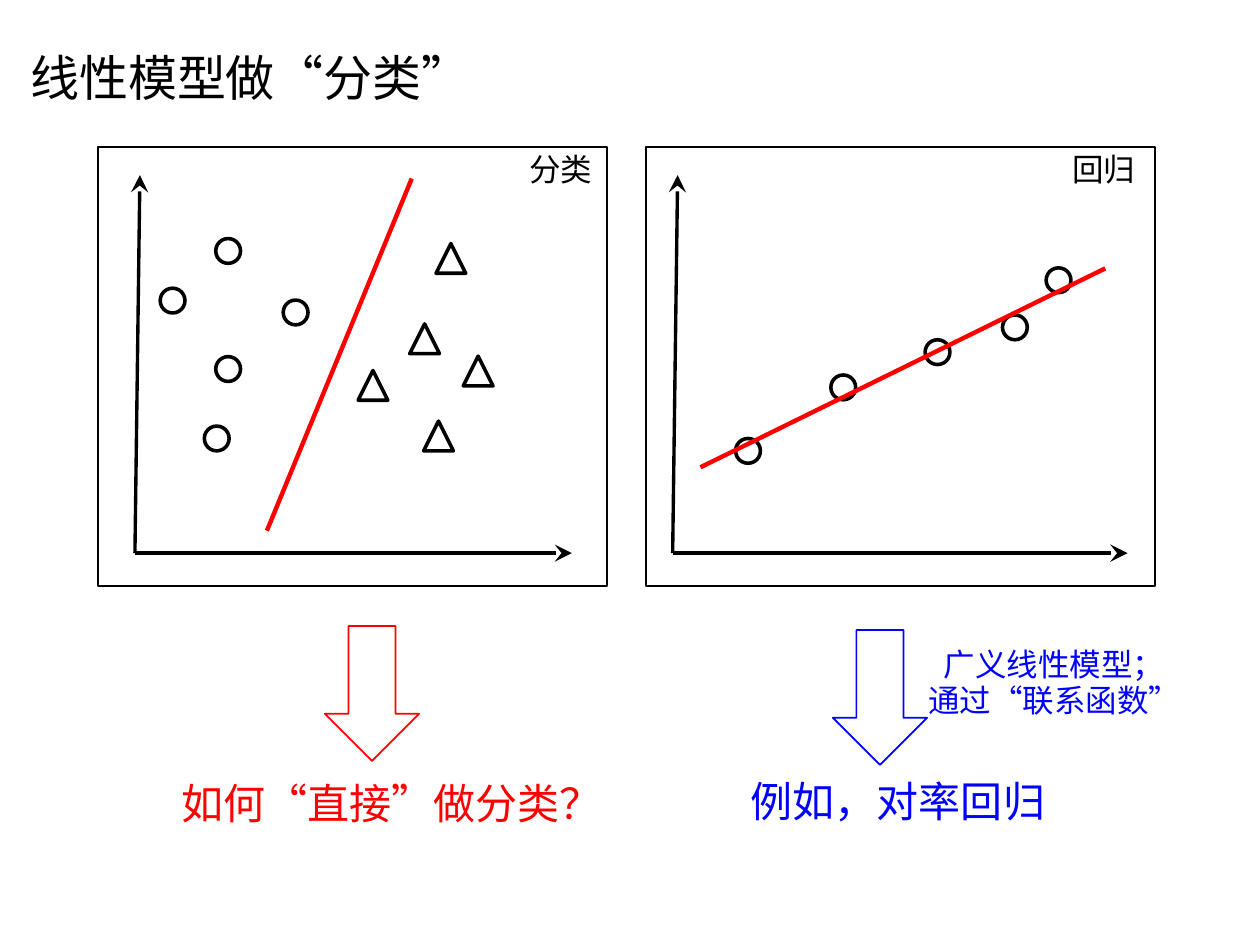
from lxml import etree
from pptx import Presentation
from pptx.dml.color import RGBColor
from pptx.enum.shapes import MSO_CONNECTOR, MSO_SHAPE
from pptx.enum.text import MSO_ANCHOR, MSO_AUTO_SIZE, PP_ALIGN
from pptx.oxml.ns import qn
from pptx.util import Cm, Pt

STRAIGHT = MSO_CONNECTOR.STRAIGHT
RECTANGLE, DOWN_ARROW = MSO_SHAPE.RECTANGLE, MSO_SHAPE.DOWN_ARROW
CIRCLE, TRIANGLE = MSO_SHAPE.OVAL, MSO_SHAPE.ISOSCELES_TRIANGLE
LEFT, CENTER, RIGHT = PP_ALIGN.LEFT, PP_ALIGN.CENTER, PP_ALIGN.RIGHT

THEME = {
    "font": "Noto Sans CJK SC",
    "black": RGBColor(0, 0, 0),
    "red": RGBColor(255, 0, 0),
    "blue": RGBColor(0, 0, 255),
    "title": 28, "conclusion": 24, "label": 18,
    "leading": {28: 33, 24: 28, 18: 20.7},
    "thin": 0.96, "axis": 1.92, "mark": 2.04, "model": 2.52,
}

TITLE = "线性模型做“分类”"
PANEL_TOP, PANEL_WIDTH, PANEL_HEIGHT = 2.97, 10.26, 8.84
AXIS_TOP, AXIS_BOTTOM = 3.53, 11.15
MARK_SIZES = {CIRCLE: 0.5, TRIANGLE: 0.6}
ARROW_WIDTH, ARROW_HEIGHT = 1.9, 2.72

PANELS = [
    {
        "label": "分类", "left": 1.98, "label_inset": 0.3,
        "origin": 2.72, "axis_end": 11.53,
        "marks": {
            CIRCLE: [(4.37, 8.84), (3.48, 6.06), (5.96, 6.3),
                     (4.6, 7.44), (4.6, 5.06)],
            TRIANGLE: [(9.09, 5.21), (8.84, 8.79), (9.64, 7.48),
                       (8.56, 6.83), (7.52, 7.77)],
        },
        "model": (8.3, 3.6, 5.38, 10.7),
        "arrow": (6.55, 12.62), "color": "red",
    },
    {
        "label": "回归", "left": 13.03, "label_inset": 0.4,
        "origin": 13.56, "axis_end": 22.73,
        "marks": {
            CIRCLE: [(18.9, 7.1), (17, 7.81), (21.34, 5.65),
                     (15.08, 9.09), (20.46, 6.6)],
        },
        "model": (22.28, 5.41, 14.12, 9.42),
        "arrow": (16.79, 12.7), "color": "blue",
    },
]

QUESTION = [("如何“直接”做分类？", "conclusion", LEFT, 0, 0)]
LINK_NOTE = [
    ("广义线性模型；", "label", CENTER, 3.53, 0),
    ("通过“联系函数”", "label", CENTER, 3.53, 0),
    ("例如，对率回归", "conclusion", LEFT, 0, 33),
]


def format_paragraph(paragraph, size, color, alignment):
    paragraph.alignment = alignment
    paragraph.line_spacing = Pt(THEME["leading"][size])
    for run in paragraph.runs:
        run.font.size = Pt(size)
        run.font.name = THEME["font"]
        run.font.color.rgb = THEME[color]
        east_asian = etree.SubElement(run.font._element, qn("a:ea"))
        east_asian.set("typeface", THEME["font"])


def prepare_frame(text_frame, top=0, right=0):
    text_frame.word_wrap = True
    text_frame.auto_size = MSO_AUTO_SIZE.NONE
    text_frame.vertical_anchor = MSO_ANCHOR.TOP
    text_frame.margin_left = text_frame.margin_bottom = 0
    text_frame.margin_top, text_frame.margin_right = Cm(top), Cm(right)


def add_outline(slide, kind, left, top, width, height, color, weight):
    shape = slide.shapes.add_shape(kind, Cm(left), Cm(top), Cm(width), Cm(height))
    shape.shadow.inherit = False
    shape.fill.background()
    shape.line.color.rgb = THEME[color]
    shape.line.width = Pt(THEME[weight])
    return shape


def add_line(slide, ends, color, weight, arrow=False):
    line = slide.shapes.add_connector(STRAIGHT, *[Cm(value) for value in ends])
    line.line.color.rgb = THEME[color]
    line.line.width = Pt(THEME[weight])
    properties = line._element.spPr
    if arrow:
        head = etree.SubElement(properties.find(qn("a:ln")), qn("a:tailEnd"))
        for name, value in (("type", "stealth"), ("w", "lg"), ("len", "lg")):
            head.set(name, value)
    etree.SubElement(properties, qn("a:effectLst"))


def add_text(slide, box, lines, color):
    text_frame = slide.shapes.add_textbox(*[Cm(value) for value in box]).text_frame
    prepare_frame(text_frame)
    text_frame.text = "\n".join(line[0] for line in lines)
    for paragraph, line in zip(text_frame.paragraphs, lines):
        _, size, alignment, indent, space_before = line
        format_paragraph(paragraph, THEME[size], color, alignment)
        paragraph._p.get_or_add_pPr().set("marL", str(Cm(indent)))
        if space_before:
            paragraph.space_before = Pt(space_before)


def add_panel(slide, panel):
    frame = add_outline(slide, RECTANGLE, panel["left"], PANEL_TOP,
                        PANEL_WIDTH, PANEL_HEIGHT, "black", "thin")
    prepare_frame(frame.text_frame, 0.08, panel["label_inset"])
    frame.text_frame.text = panel["label"]
    format_paragraph(frame.text_frame.paragraphs[0], THEME["label"], "black", RIGHT)

    for kind, centers in panel["marks"].items():
        size = MARK_SIZES[kind]
        for x, y in centers:
            add_outline(slide, kind, x - size / 2, y - size / 2,
                        size, size, "black", "mark")
    add_line(slide, panel["model"], "red", "model")

    origin = panel["origin"]
    for end in ((panel["axis_end"], AXIS_BOTTOM), (origin + 0.1, AXIS_TOP)):
        add_line(slide, (origin, AXIS_BOTTOM, *end), "black", "axis", arrow=True)
    add_outline(slide, DOWN_ARROW, *panel["arrow"], ARROW_WIDTH, ARROW_HEIGHT,
                panel["color"], "thin")


def main():
    presentation = Presentation()
    presentation.slide_width, presentation.slide_height = Cm(25.4), Cm(19.05)
    slide = presentation.slides.add_slide(presentation.slide_layouts[5])

    title = slide.shapes.title
    title.left, title.top, title.width, title.height = Cm(0.61), Cm(0.97), Cm(9.4), Cm(1.2)
    prepare_frame(title.text_frame)
    title.text_frame.text = TITLE
    format_paragraph(title.text_frame.paragraphs[0], THEME["title"], "black", LEFT)

    for panel in PANELS:
        add_panel(slide, panel)
    add_text(slide, (3.66, 15.7, 8.8, 0.99), QUESTION, "red")
    add_text(slide, (15.14, 13.03, 8.69, 3.53), LINK_NOTE, "blue")
    presentation.save("out.pptx")


if __name__ == "__main__":
    main()
